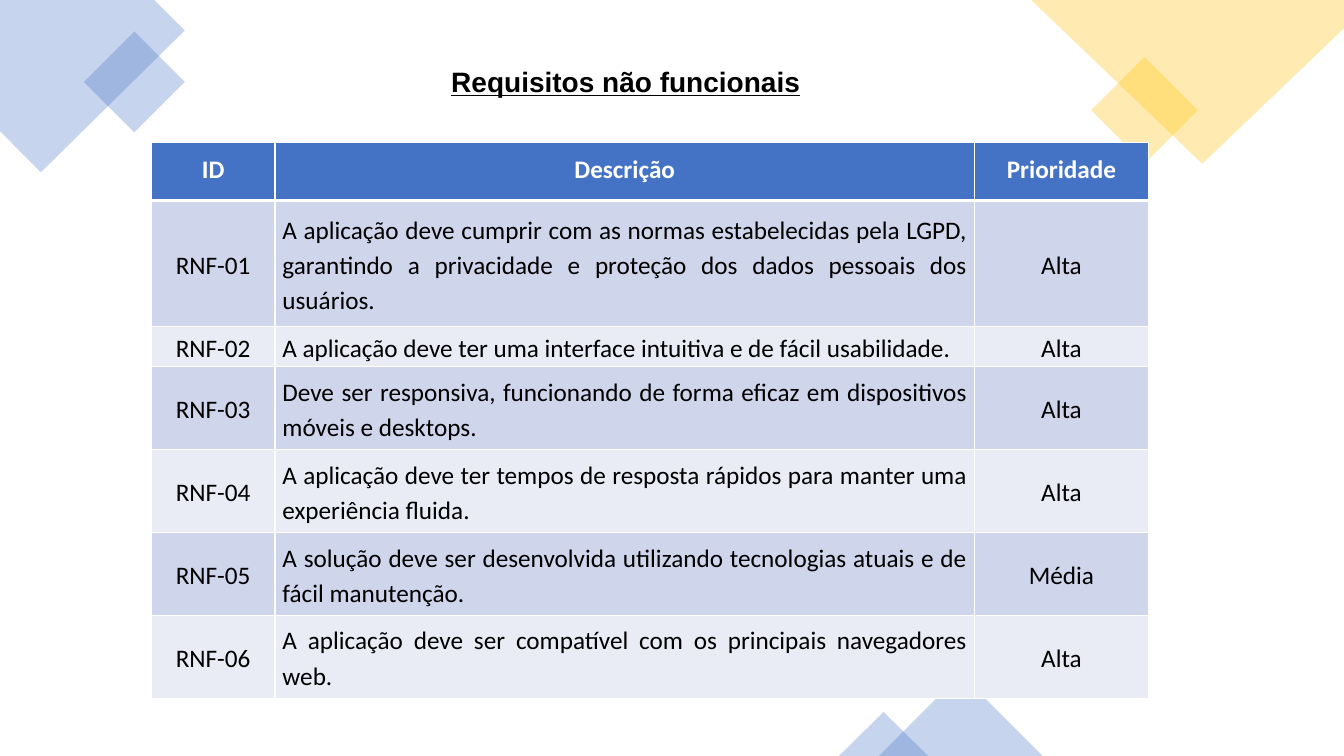
"""Builds the slide listing the non-functional requirements."""
from lxml.etree import SubElement
from pptx import Presentation
from pptx.dml.color import RGBColor
from pptx.enum.shapes import MSO_SHAPE
from pptx.enum.text import MSO_ANCHOR, MSO_AUTO_SIZE, PP_ALIGN
from pptx.oxml import parse_xml
from pptx.oxml.ns import nsdecls, qn
from pptx.util import Pt

PX = 9525
BLUE = RGBColor(0x44, 0x72, 0xC4)
YELLOW = RGBColor(0xFF, 0xC0, 0x00)
DARK_BAND = RGBColor(0xCF, 0xD5, 0xEA)
LIGHT_BAND = RGBColor(0xE9, 0xEB, 0xF5)
WHITE = RGBColor(0xFF, 0xFF, 0xFF)
BLACK = RGBColor(0x00, 0x00, 0x00)

REQUIREMENTS = [
    ("ID", "Descrição", "Prioridade"),
    ("RNF-01", "A aplicação deve cumprir com as normas estabelecidas pela LGPD, "
     "garantindo a privacidade e proteção dos dados pessoais dos usuários.", "Alta"),
    ("RNF-02", "A aplicação deve ter uma interface intuitiva e de fácil usabilidade.", "Alta"),
    ("RNF-03", "Deve ser responsiva, funcionando de forma eficaz em dispositivos "
     "móveis e desktops.", "Alta"),
    ("RNF-04", "A aplicação deve ter tempos de resposta rápidos para manter uma "
     "experiência fluida.", "Alta"),
    ("RNF-05", "A solução deve ser desenvolvida utilizando tecnologias atuais e de "
     "fácil manutenção.", "Média"),
    ("RNF-06", "A aplicação deve ser compatível com os principais navegadores web.", "Alta"),
]
COLUMN_WIDTHS = [118, 666, 166]
ROW_HEIGHTS = [55, 120, 38, 79, 79, 79, 79]


def tint(ornament, color):
    ornament.shadow.inherit = False
    ornament.line.fill.background()
    ornament.fill.solid()
    ornament.fill.fore_color.rgb = color
    color_xml = ornament._element.spPr.find(qn("a:solidFill"))[0]
    SubElement(color_xml, qn("a:alpha"), val="30000")


def format_text(paragraph, font_name, size, color, bold):
    paragraph.line_spacing = 1.15
    for run in paragraph.runs:
        run.font.name = font_name
        run.font.size = Pt(size)
        run.font.color.rgb = color
        run.font.bold = bold


deck = Presentation()
deck.slide_width = 1280 * PX
deck.slide_height = 720 * PX
slide = deck.slides.add_slide(deck.slide_layouts[6])

CORNERS = [
    ([(147, 0), (0, 0), (0, 125), (39, 164), (176, 29)], BLUE),
    ([(1280, 0), (982, 0), (1145, 156), (1280, 27)], YELLOW),
]
for points, color in CORNERS:
    outline = slide.shapes.build_freeform(*points[0], scale=PX)
    outline.add_line_segments(points[1:], close=True)
    tint(outline.convert_to_shape(), color)

ORNAMENTS = [
    (MSO_SHAPE.RECTANGLE, 94, 44, 68, 68, 315, BLUE),
    (MSO_SHAPE.RECTANGLE, 1054, 69, 72, 72, 315, YELLOW),
    (MSO_SHAPE.ISOSCELES_TRIANGLE, 837, 642, 156, 78, 0, BLUE),
    (MSO_SHAPE.ISOSCELES_TRIANGLE, 799, 678, 85, 42, 0, BLUE),
]
for preset, left, top, width, height, rotation, color in ORNAMENTS:
    ornament = slide.shapes.add_shape(preset, left * PX, top * PX, width * PX, height * PX)
    ornament.rotation = rotation
    tint(ornament, color)

title = slide.shapes.add_textbox(276 * PX, 52 * PX, 640 * PX, 44 * PX).text_frame
title.word_wrap = True
title.auto_size = MSO_AUTO_SIZE.SHAPE_TO_FIT_TEXT
title.text = "Requisitos não funcionais"
heading = title.paragraphs[0]
heading.alignment = PP_ALIGN.CENTER
heading.space_before = Pt(16)
heading.space_after = Pt(4)
format_text(heading, "Arial", 20, BLACK, True)
heading.runs[0].font.underline = True

requirements = slide.shapes.add_table(
    len(ROW_HEIGHTS), len(COLUMN_WIDTHS), 144 * PX, 136 * PX,
    sum(COLUMN_WIDTHS) * PX, sum(ROW_HEIGHTS) * PX).table
for column, width in zip(requirements.columns, COLUMN_WIDTHS):
    column.width = width * PX
for row, height in zip(requirements.rows, ROW_HEIGHTS):
    row.height = height * PX

for row_index, entries in enumerate(REQUIREMENTS):
    is_header = row_index == 0
    band = BLUE if is_header else DARK_BAND if row_index % 2 else LIGHT_BAND
    border_widths = {"lnL": 1, "lnR": 1, "lnT": 3 if row_index == 1 else 1,
                     "lnB": 3 if is_header else 1}
    for column_index, entry in enumerate(entries):
        cell = requirements.cell(row_index, column_index)
        cell.text_frame.text = entry
        cell.fill.solid()
        cell.fill.fore_color.rgb = band
        cell.margin_left = cell.margin_right = 7 * PX
        cell.margin_top = cell.margin_bottom = 7 * PX if is_header else 0
        cell.vertical_anchor = MSO_ANCHOR.TOP if is_header else MSO_ANCHOR.MIDDLE
        paragraph = cell.text_frame.paragraphs[0]
        is_description = column_index == 1 and not is_header
        paragraph.alignment = PP_ALIGN.JUSTIFY if is_description else PP_ALIGN.CENTER
        format_text(paragraph, "Calibri", 18, WHITE if is_header else BLACK, is_header)
        for position, (side, points) in enumerate(border_widths.items()):
            border = parse_xml(
                f'<a:{side} {nsdecls("a")} w="{Pt(points)}"><a:solidFill>'
                f'<a:srgbClr val="{WHITE}"/></a:solidFill></a:{side}>')
            cell._tc.get_or_add_tcPr().insert(position, border)

deck.save("out.pptx")
